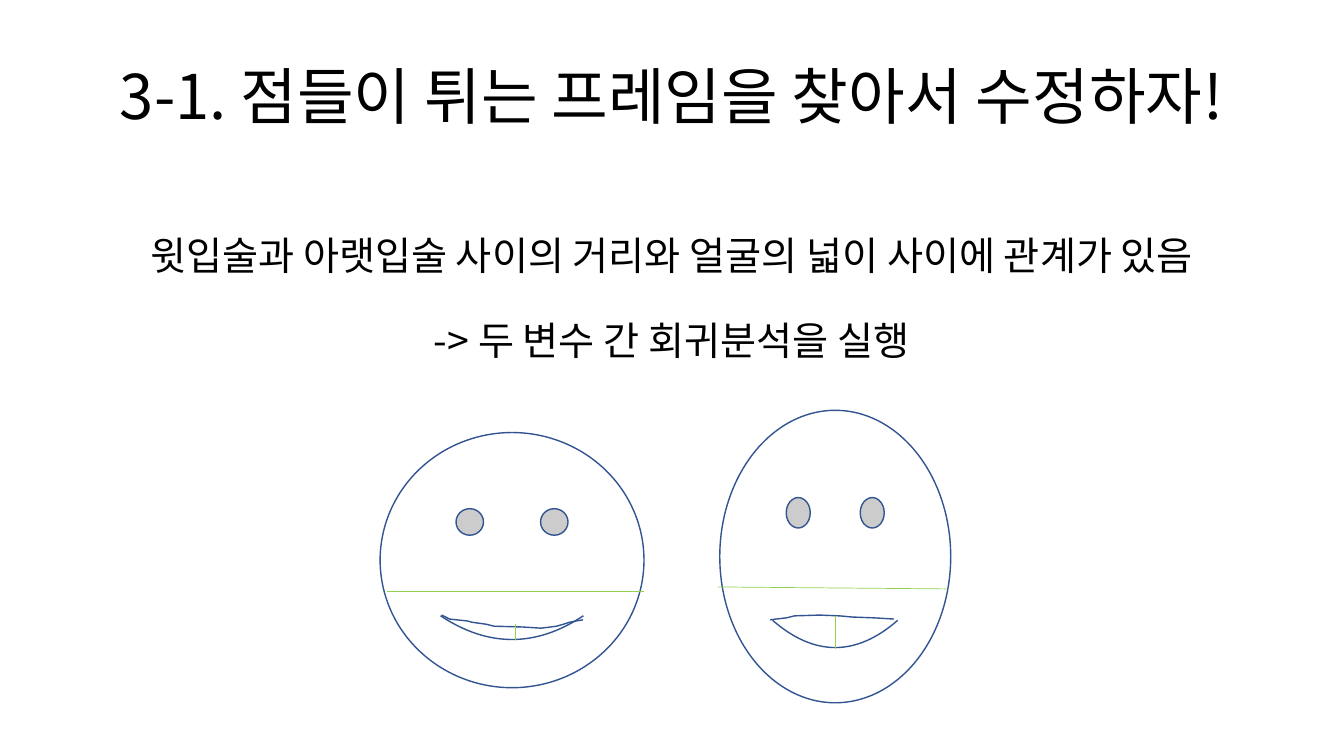
from lxml.etree import SubElement
from pptx import Presentation
from pptx.enum.shapes import MSO_CONNECTOR as Link, MSO_SHAPE as Preset
from pptx.enum.text import MSO_ANCHOR as Anchor, PP_ALIGN as Align
from pptx.dml.color import RGBColor as Rgb
from pptx.oxml.ns import qn
from pptx.util import Cm, Pt

COLORS = {"face": "FFFFFF", "outline": "325491", "measure": "92D050", "text": "000000"}
FONT = "Noto Sans CJK KR"

FACES = [
    {
        "box": (9.58, 10.9, 6.65, 6.43),
        "lip": [(1.55, 4.6), (1.75, 4.7), (2.21, 4.75), (2.31, 4.78), (2.67, 4.83),
                (2.87, 4.88), (3.58, 4.9), (4.06, 4.93), (4.45, 4.88), (4.62, 4.83),
                (4.78, 4.78), (4.93, 4.75), (5.11, 4.72)],
        "measures": [(3.4, 4.83, 3.4, 5.23), (6.65, 4.01, 0.18, 4.01)],
    },
    {
        "box": (18.14, 10.34, 5.82, 7.37),
        "lip": [(1.27, 5.28), (1.42, 5.26), (1.68, 5.23), (1.88, 5.18), (2.51, 5.16),
                (3.02, 5.18), (3.35, 5.21), (3.89, 5.23), (4.39, 5.26)],
        "measures": [(2.9, 5.18, 2.9, 6.02), (5.74, 4.5, -0.05, 4.45)],
    },
]


def set_outline(part, color, width):
    """Give a part a solid line of the named colour and width in points."""
    part.line.color.rgb = Rgb.from_string(COLORS[color])
    part.line.width = Pt(width)


def add_face(slide, box, lip, measures):
    """Draw a smiling face in its box with an upper lip and measuring lines."""
    left, top = box[:2]
    head = slide.shapes.add_shape(Preset.SMILEY_FACE, *map(Cm, box))
    head.fill.solid()
    head.fill.fore_color.rgb = Rgb.from_string(COLORS["face"])

    lip_points = [(Cm(left + x), Cm(top + y)) for x, y in lip]
    pen = slide.shapes.build_freeform(*lip_points[0])
    pen.add_line_segments(lip_points[1:], close=False)
    upper_lip = pen.convert_to_shape()
    upper_lip.fill.background()

    for part in (head, upper_lip):
        part.shadow.inherit = False
        set_outline(part, "outline", 1)

    for x1, y1, x2, y2 in measures:
        ends = (left + x1, top + y1, left + x2, top + y2)
        measure = slide.shapes.add_connector(Link.STRAIGHT, *map(Cm, ends))
        set_outline(measure, "measure", 0.5)
        SubElement(measure._element.spPr, qn("a:effectLst"))


def add_statement(slide, box, lines, size, layout):
    """Write centred lines in a box, formatting each paragraph from layout."""
    frame = slide.shapes.add_textbox(*map(Cm, box)).text_frame
    for name, value in {"word_wrap": True, "vertical_anchor": Anchor.MIDDLE}.items():
        setattr(frame, name, value)
    for index, line in enumerate(lines):
        paragraph = frame.paragraphs[0] if index == 0 else frame.add_paragraph()
        for name, value in {"alignment": Align.CENTER, **layout}.items():
            if index or name != "space_before":
                setattr(paragraph, name, value)
        run = paragraph.add_run()
        run.text = line
        for name, value in {"size": Pt(size), "name": FONT}.items():
            setattr(run.font, name, value)
        run.font.color.rgb = Rgb.from_string(COLORS["text"])
        SubElement(run._r.get_or_add_rPr(), qn("a:ea"), typeface=FONT)


def main():
    """Build the regression slide and save it."""
    deck = Presentation()
    deck.slide_width, deck.slide_height = Cm(33.87), Cm(19.05)
    slide = deck.slides.add_slide(deck.slide_layouts[6])
    for face in FACES:
        add_face(slide, **face)
    add_statement(slide, (0.76, 4.88, 32.33, 5.23),
                  ["윗입술과 아랫입술 사이의 거리와 얼굴의 넓이 사이에 관계가 있음",
                   "-> 두 변수 간 회귀분석을 실행"],
                  28, {"space_before": Pt(27)})
    add_statement(slide, (0.86, 0.66, 32.13, 3.68),
                  ["3-1. 점들이 튀는 프레임을 찾아서 수정하자!"],
                  44, {"line_spacing": 0.9})
    deck.save("out.pptx")


if __name__ == "__main__":
    main()
